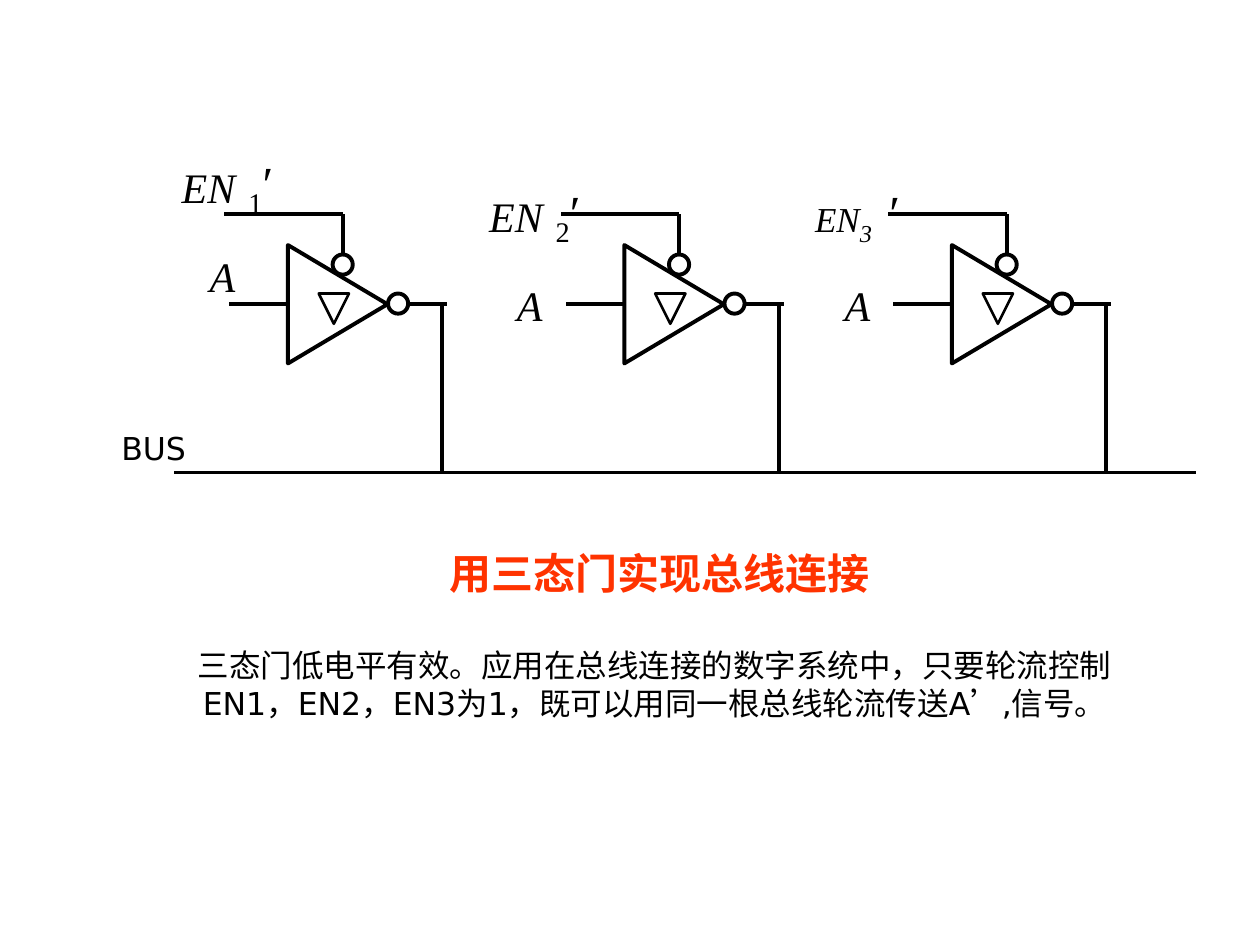
from lxml import etree
from pptx import Presentation
from pptx.dml.color import RGBColor
from pptx.enum.shapes import MSO_CONNECTOR, MSO_SHAPE
from pptx.enum.text import MSO_AUTO_SIZE, PP_ALIGN
from pptx.oxml.ns import qn
from pptx.util import Inches, Pt

STRAIGHT = MSO_CONNECTOR.STRAIGHT
BODY = MSO_SHAPE.FLOWCHART_EXTRACT
MARK = MSO_SHAPE.FLOWCHART_MERGE
DOT = MSO_SHAPE.FLOWCHART_CONNECTOR
CENTER = PP_ALIGN.CENTER
FIT = MSO_AUTO_SIZE.SHAPE_TO_FIT_TEXT
SERIF = "Times New Roman"
SANS = "DejaVu Sans"
BLACK = "000000"
RED = "FF3300"
BUS_Y = 3.75
GATE_Y = 2.41


def paint(color, code):
    """Set a color format from a hex string."""
    color.rgb = RGBColor.from_string(code)


def write(slide, box, *parts, size=24, font=SERIF, color=BLACK,
          bold=False, italic=False, wrap=True):
    """Add a centred text box; a part is text or (text, size) for a subscript."""
    shape = slide.shapes.add_textbox(*map(Inches, box))
    frame = shape.text_frame
    frame.word_wrap = wrap
    frame.auto_size = FIT
    para = frame.paragraphs[0]
    para.alignment = CENTER
    for part in parts:
        sub = isinstance(part, tuple)
        run = para.add_run()
        run.text, points = part if sub else (part, size)
        run.font.size = Pt(points)
        run.font.name = font
        run.font.bold = bold
        run.font.italic = italic
        paint(run.font.color, color)
        if sub:
            run.font._element.set("baseline", "-25000")


def wire(slide, x1, y1, x2, y2):
    """Add a black straight wire without a shadow."""
    line = slide.shapes.add_connector(STRAIGHT, *map(Inches, (x1, y1, x2, y2)))
    paint(line.line.color, BLACK)
    line.line.width = Pt(2.25)
    etree.SubElement(line._element.spPr, qn("a:effectLst"))


def outline(slide, kind, box, width=2.25, turn=0):
    """Add an unfilled preset shape with a black outline."""
    shape = slide.shapes.add_shape(kind, *map(Inches, box))
    shape.shadow.inherit = False
    shape.fill.background()
    paint(shape.line.color, BLACK)
    shape.line.width = Pt(width)
    shape.rotation = turn


def gate(slide, x):
    """Draw a tri-state inverter whose left edge is at x, wired to the bus."""
    outline(slide, BODY, (x - 0.08, 2.02, 0.94, 0.79), turn=90)
    outline(slide, MARK, (x + 0.24, 2.33, 0.24, 0.24), width=1.5)
    outline(slide, DOT, (x + 0.79, 2.33, 0.16, 0.16))
    outline(slide, DOT, (x + 0.35, 2.02, 0.16, 0.16))
    wire(slide, x + 0.43, 2.02, x + 0.43, 1.7)
    wire(slide, x + 0.43, 1.7, x - 0.51, 1.7)
    wire(slide, x, GATE_Y, x - 0.47, GATE_Y)
    wire(slide, x + 0.95, GATE_Y, x + 1.26, GATE_Y)
    wire(slide, x + 1.22, BUS_Y, x + 1.22, GATE_Y)


def label(slide, x, y, name, prime, size=24, shift=0.57, width=0.4):
    """Label a gate input and its enable signal, with EN at x, y."""
    write(slide, (x + 0.23, y + 0.71, 0.47, 0.5), "A", italic=True)
    write(slide, (x, y, 0.71, 0.5), *name, size=size, italic=True)
    write(slide, (x + shift, y - 0.07, width, 0.63), *prime,
          size=28, wrap=False)


def main():
    """Build the slide and save it."""
    deck = Presentation()
    deck.slide_width = Inches(10)
    deck.slide_height = Inches(7.5)
    slide = deck.slides.add_slide(deck.slide_layouts[6])

    for x in (2.29, 4.96, 7.56):
        gate(slide, x)
    label(slide, 1.3, 1.23, ["EN"], [("1", 28), "′"])
    label(slide, 3.74, 1.46, ["EN"], [("2", 28), "′"])
    label(slide, 6.34, 1.46, ["EN", ("3", 24)], ["′"],
          size=20, shift=0.62, width=0.28)

    wire(slide, 9.49, BUS_Y, 1.38, BUS_Y)
    write(slide, (0.51, 3.36, 1.42, 0.4), "BUS", size=18, font=SANS)
    write(slide, (2.48, 4.3, 5.51, 0.5), "用三态门实现总线连接",
          color=RED, bold=True)
    write(slide, (1.25, 5.08, 7.89, 0.7),
          "三态门低电平有效。应用在总线连接的数字系统中，只要轮流控制"
          "EN1，EN2，EN3为1，既可以用同一根总线轮流传送A’,信号。",
          size=18, font=SANS)
    deck.save("out.pptx")


if __name__ == "__main__":
    main()
